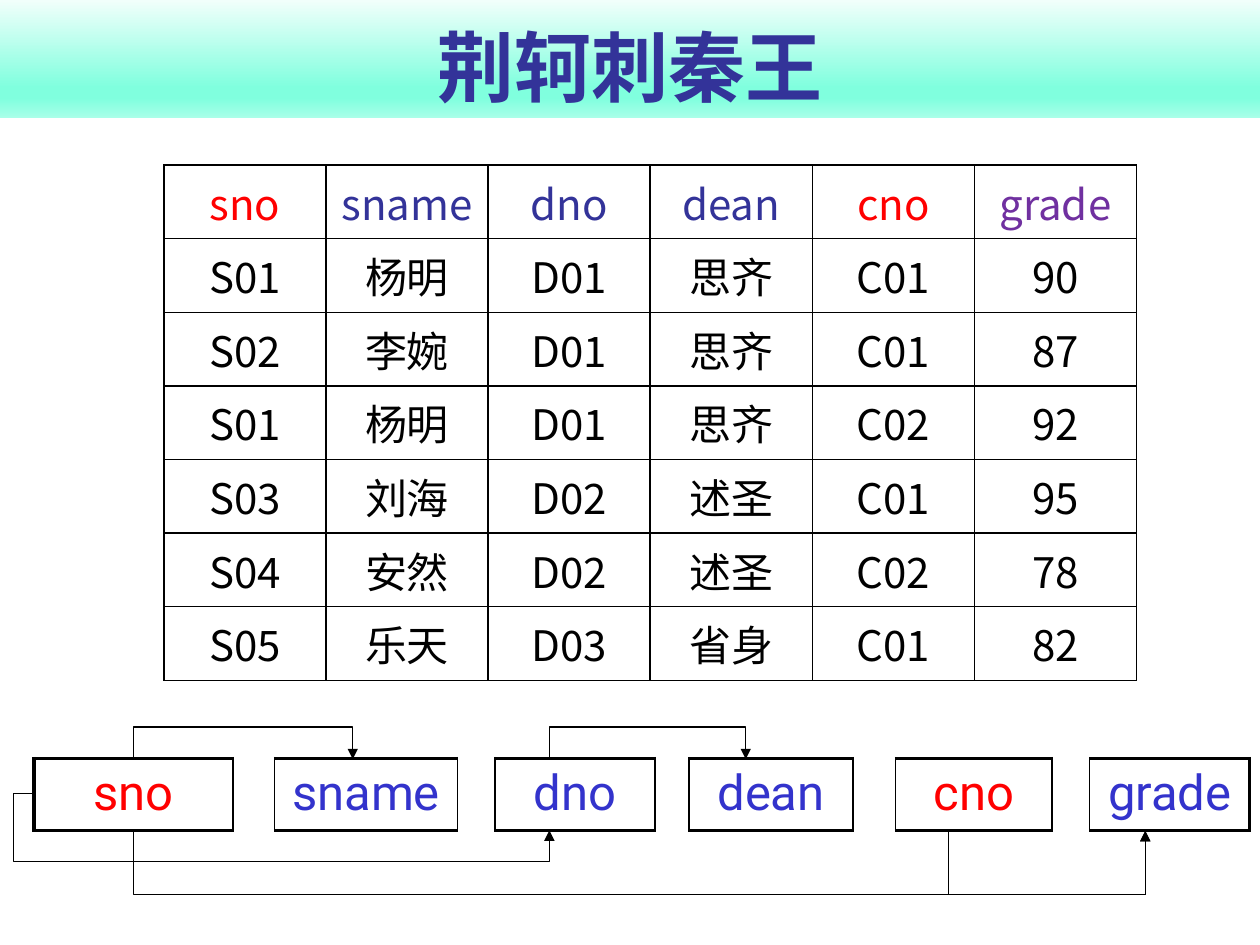
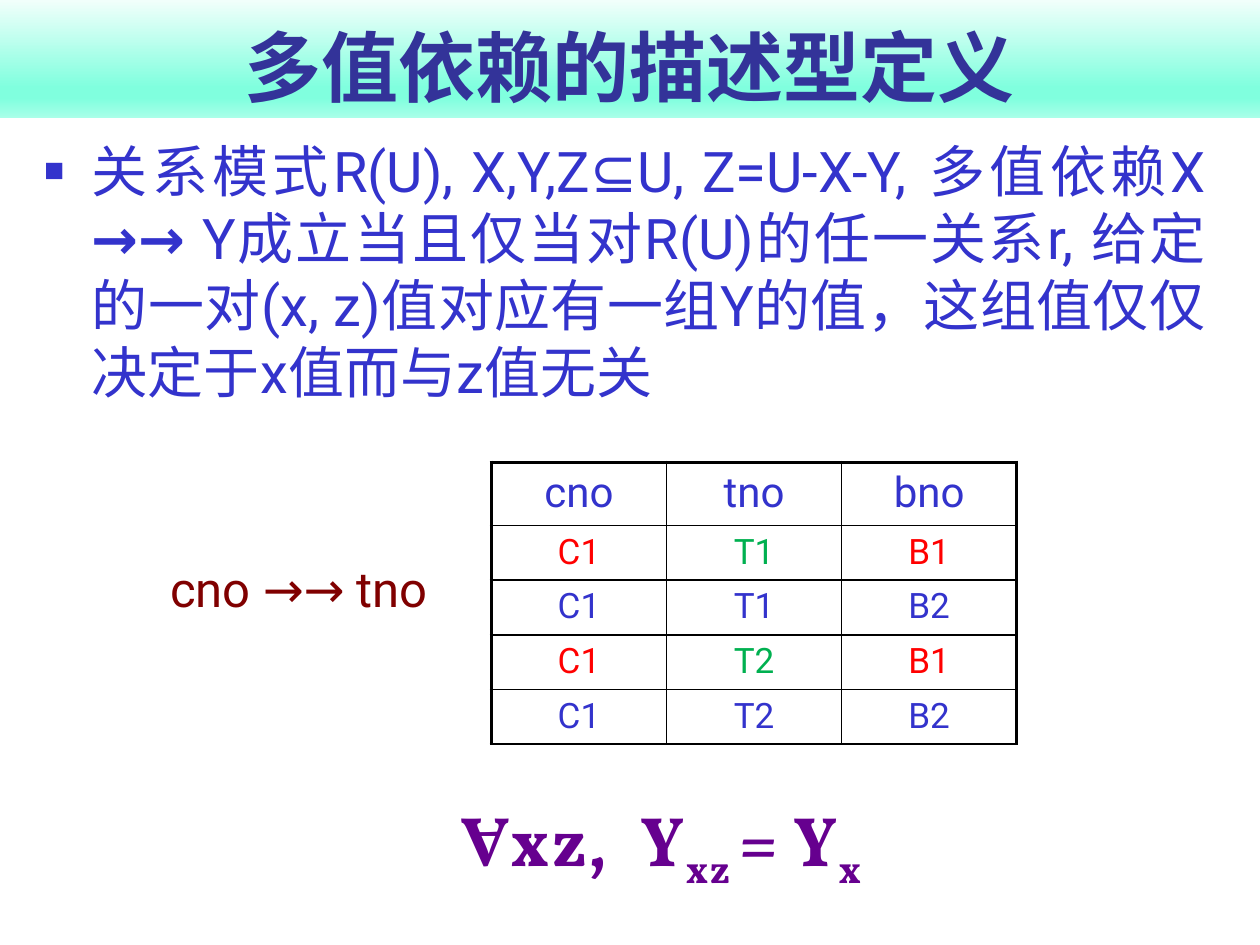
from lxml.etree import SubElement
from pptx import Presentation
from pptx.dml.color import RGBColor
from pptx.enum.shapes import MSO_CONNECTOR
from pptx.enum.text import MSO_ANCHOR, MSO_AUTO_SIZE, PP_ALIGN
from pptx.oxml.ns import qn
from pptx.util import Inches, Pt

BLACK = RGBColor(0x00, 0x00, 0x00)
NAVY = RGBColor(0x33, 0x33, 0x99)
BLUE = RGBColor(0x33, 0x33, 0xCC)
RED = RGBColor(0xFF, 0x00, 0x00)
GREEN = RGBColor(0x00, 0xB0, 0x50)
VIOLET = RGBColor(0x70, 0x30, 0xA0)
PURPLE = RGBColor(0x66, 0x00, 0x8F)
MAROON = RGBColor(0x80, 0x00, 0x00)
BAND_STOPS = [
    (0, RGBColor(0xF1, 0xFF, 0xFB)),
    (74, RGBColor(0x80, 0xFF, 0xDE)),
    (83, RGBColor(0x80, 0xFF, 0xDE)),
    (100, RGBColor(0xAA, 0xFF, 0xE9)),
]
SANS, CJK, SERIF = "Roboto", "Noto Sans CJK JP", "Vollkorn"
NO_TABLE_STYLE = "{2D5ABB26-0587-4C30-8999-92F81FD0307C}"
THIN, THICK = 1, 2.25

GRADES_TITLE = "荆轲刺秦王"
GRADES = [
    ["sno", "sname", "dno", "dean", "cno", "grade"],
    ["S01", "杨明", "D01", "思齐", "C01", "90"],
    ["S02", "李婉", "D01", "思齐", "C01", "87"],
    ["S01", "杨明", "D01", "思齐", "C02", "92"],
    ["S03", "刘海", "D02", "述圣", "C01", "95"],
    ["S04", "安然", "D02", "述圣", "C02", "78"],
    ["S05", "乐天", "D03", "省身", "C01", "82"],
]
GRADE_HEADER_COLORS = [RED, NAVY, NAVY, NAVY, RED, VIOLET]
ATTRIBUTES = ["sno", "", "sname", "", "dno", "", "dean", "", "cno", "", "grade"]
ATTRIBUTE_WIDTHS = [1.58, 0.33, 1.45, 0.3, 1.27, 0.27, 1.3, 0.34, 1.24, 0.3, 1.27]
KEYS = ("sno", "cno")
ATTRIBUTE_TOP, ATTRIBUTE_BOTTOM = 6.02, 6.59
SNO_X, SNAME_X, DNO_X, DEAN_X, CNO_X, GRADE_X = 1.06, 2.8, 4.36, 5.92, 7.53, 9.09
ARROWS_ABOVE = [(SNO_X, SNAME_X), (DNO_X, DEAN_X)]
ARROWS_BELOW = [(SNO_X, GRADE_X), (CNO_X, GRADE_X)]

MVD_TITLE = "多值依赖的描述型定义"
MVD_DEFINITION = [
    ("关系模式R(U), X,Y,Z⊆U, Z=U-X-Y, 多值依赖X ", False),
    ("→→ ", True),
    ("Y成立当且仅当对R(U)的任一关系r, 给定的一对(x, z)值对应有一组Y的值，"
     "这组值仅仅决定于x值而与z值无关", False),
]
TEACHING = [
    ["cno", "tno", "bno"],
    ["C1", "T1", "B1"],
    ["C1", "T1", "B2"],
    ["C1", "T2", "B1"],
    ["C1", "T2", "B2"],
]
MATCHED_COLORS = [RED, GREEN, RED]
MVD_LABEL = "cno →→ tno"
FORMULA = [("∀xz,", 0, 50), (" ", 0, 1000), ("Y", 0, 50), ("xz ", -25000, 50),
           ("= Y", 0, 50), ("x ", -25000, 50)]


def format_span(span, size, color, name=SANS, bold=False):
    font = span.font
    font.size, font.bold, font.name = Pt(size), bold, name
    font.color.rgb = color
    properties = font.fill and span._r.get_or_add_rPr()
    east_asian = SubElement(properties, qn("a:ea"), typeface=CJK)
    properties.find(qn("a:latin")).addnext(east_asian)


def add_span(para, text, size, color, name=SANS, bold=False):
    span = para.add_run()
    span.text = text
    format_span(span, size, color, name, bold)
    return span


def place(shape, left, top, width, height):
    shape.left, shape.top = Inches(left), Inches(top)
    shape.width, shape.height = Inches(width), Inches(height)


def add_page(deck, layout, text):
    page = deck.slides.add_slide(deck.slide_layouts[layout])
    title = page.shapes.title
    place(title, 0, 0, 10, 0.94)
    title.fill.gradient()
    title.fill.gradient_angle = 270
    stops = title.element.find(".//" + qn("a:gsLst"))
    stops.clear()
    for position, color in BAND_STOPS:
        stop = SubElement(stops, qn("a:gs"), pos=str(position * 1000))
        SubElement(stop, qn("a:srgbClr"), val=str(color))
    frame = title.text_frame
    frame.text = text
    frame.auto_size = MSO_AUTO_SIZE.NONE
    frame.vertical_anchor = MSO_ANCHOR.BOTTOM
    para = frame.paragraphs[0]
    para.alignment = PP_ALIGN.CENTER
    format_span(para.runs[0], 44, NAVY, bold=True)
    return page


def draw_borders(cell, widths):
    properties = cell._tc.get_or_add_tcPr()
    for index, (side, width) in enumerate(zip("LRTB", widths)):
        line = SubElement(properties, qn("a:ln" + side), w=str(Pt(width)))
        if width:
            fill = SubElement(line, qn("a:solidFill"))
            SubElement(fill, qn("a:srgbClr"), val=str(BLACK))
        else:
            SubElement(line, qn("a:noFill"))
        properties.insert(index, line)


def add_grid(page, left, top, widths, heights, rows, style, borders,
             name=SANS, anchor=MSO_ANCHOR.TOP):
    frame = page.shapes.add_table(
        len(rows), len(widths), Inches(left), Inches(top),
        Inches(sum(widths)), Inches(sum(heights)))
    table = frame.table
    table.first_row = table.horz_banding = False
    frame.element.find(".//" + qn("a:tableStyleId")).text = NO_TABLE_STYLE
    for column, width in zip(table.columns, widths):
        column.width = Inches(width)
    for row, height in zip(table.rows, heights):
        row.height = Inches(height)
    for r, row in enumerate(rows):
        for c, text in enumerate(row):
            cell = table.cell(r, c)
            cell.fill.background()
            cell.vertical_anchor = anchor
            draw_borders(cell, borders(r, c))
            if text:
                para = cell.text_frame.paragraphs[0]
                para.alignment = PP_ALIGN.CENTER
                add_span(para, text, *style(r, c), name)


def add_elbow(page, start, end, preset, adjustments):
    arrow = page.shapes.add_connector(
        MSO_CONNECTOR.ELBOW, *[Inches(value) for value in (*start, *end)])
    arrow.line.color.rgb = BLACK
    arrow.line.width = Pt(0.75)
    SubElement(arrow.line._ln, qn("a:tailEnd"), type="triangle")
    properties = arrow.element.spPr
    SubElement(properties, qn("a:effectLst"))
    geometry = properties.find(qn("a:prstGeom"))
    geometry.set("prst", preset)
    guides = geometry.find(qn("a:avLst"))
    for number, value in enumerate(adjustments, 1):
        SubElement(guides, qn("a:gd"), name=f"adj{number}",
                   fmla=f"val {round(value * 100000)}")
    return arrow


def add_bracket(page, start_x, end_x, y, depth, turn, flip):
    thickness = 0.01
    middle, half = (start_x + end_x) / 2, (end_x - start_x) / 2
    arrow = add_elbow(page, (middle - thickness / 2, y - half),
                      (middle + thickness / 2, y + half),
                      "bentConnector3", [depth / thickness])
    transform = arrow.element.spPr.find(qn("a:xfrm"))
    transform.set("rot", str(turn * 60000))
    transform.set(flip, "1")


def build_grades(deck):
    page = add_page(deck, 5, GRADES_TITLE)
    add_grid(page, 1.3, 1.31, [7.72 / 6] * 6, [4.09 / 7] * 7, GRADES,
             lambda r, c: (24, BLACK if r else GRADE_HEADER_COLORS[c]),
             lambda r, c: (THIN,) * 4, CJK, MSO_ANCHOR.MIDDLE)

    last = len(ATTRIBUTES) - 1

    def attribute_borders(r, c):
        edge = 0 if c % 2 else THICK
        return (THIN if c else THICK, THICK if c == last else THIN, edge, edge)

    add_grid(page, 0.27, ATTRIBUTE_TOP, ATTRIBUTE_WIDTHS,
             [ATTRIBUTE_BOTTOM - ATTRIBUTE_TOP], [ATTRIBUTES],
             lambda r, c: (28, RED if ATTRIBUTES[c] in KEYS else BLUE),
             attribute_borders)
    for start_x, end_x in ARROWS_ABOVE:
        add_bracket(page, start_x, end_x, ATTRIBUTE_TOP, -0.25, 90, "flipV")
    for start_x, end_x in ARROWS_BELOW:
        add_bracket(page, start_x, end_x, ATTRIBUTE_BOTTOM, 0.52, 270, "flipH")
    add_elbow(page, (0.27, 6.3), (DNO_X, ATTRIBUTE_BOTTOM),
              "bentConnector4", [-0.04, 1.85])


def add_definition(page):
    body = page.placeholders[1]
    place(body, 0.25, 1.03, 9.42, 2.33)
    body.text_frame.auto_size = MSO_AUTO_SIZE.NONE
    para = body.text_frame.paragraphs[0]
    properties = para._p.get_or_add_pPr()
    properties.set("marL", str(Inches(0.38)))
    properties.set("indent", str(Inches(-0.38)))
    bullet_color = SubElement(properties, qn("a:buClr"))
    SubElement(bullet_color, qn("a:srgbClr"), val=str(BLUE))
    SubElement(properties, qn("a:buSzPct"), val="60000")
    SubElement(properties, qn("a:buChar"), char="■")
    para.alignment = PP_ALIGN.JUSTIFY
    para.space_before = Pt(0)
    for text, bold in MVD_DEFINITION:
        add_span(para, text, 32, BLUE, bold=bold)


def add_text_box(page, left, top, width, height):
    box = page.shapes.add_textbox(
        Inches(left), Inches(top), Inches(width), Inches(height))
    box.text_frame.word_wrap = True
    return box.text_frame


def build_multivalued(deck):
    page = add_page(deck, 1, MVD_TITLE)
    add_definition(page)

    formula = add_text_box(page, 3.43, 6.27, 3.7, 0.77).paragraphs[0]
    formula.alignment = PP_ALIGN.CENTER
    for text, baseline, spacing in FORMULA:
        span = add_span(formula, text, 40, PURPLE, SERIF, True)
        properties = span._r.get_or_add_rPr()
        properties.set("baseline", str(baseline))
        properties.set("spc", str(spacing))

    def teaching_style(r, c):
        if r == 0:
            return 24, BLUE
        return 20, MATCHED_COLORS[c] if r % 2 else BLUE

    add_grid(page, 3.9, 3.67, [1.39] * 3, [0.5] + [0.43] * 4, TEACHING,
             teaching_style,
             lambda r, c: (THIN if c else THICK, THICK if c == 2 else THIN,
                           THIN if r else THICK, THIN))

    frame = add_text_box(page, 0.75, 4.34, 2.91, 0.57)
    frame.margin_left = Inches(0.6)
    label = frame.paragraphs[0]
    label.line_spacing = 1.1
    add_span(label, MVD_LABEL, 28, MAROON)


def main():
    deck = Presentation()
    deck.slide_width, deck.slide_height = Inches(10), Inches(7.5)
    build_grades(deck)
    build_multivalued(deck)
    deck.save("out.pptx")


if __name__ == "__main__":
    main()
